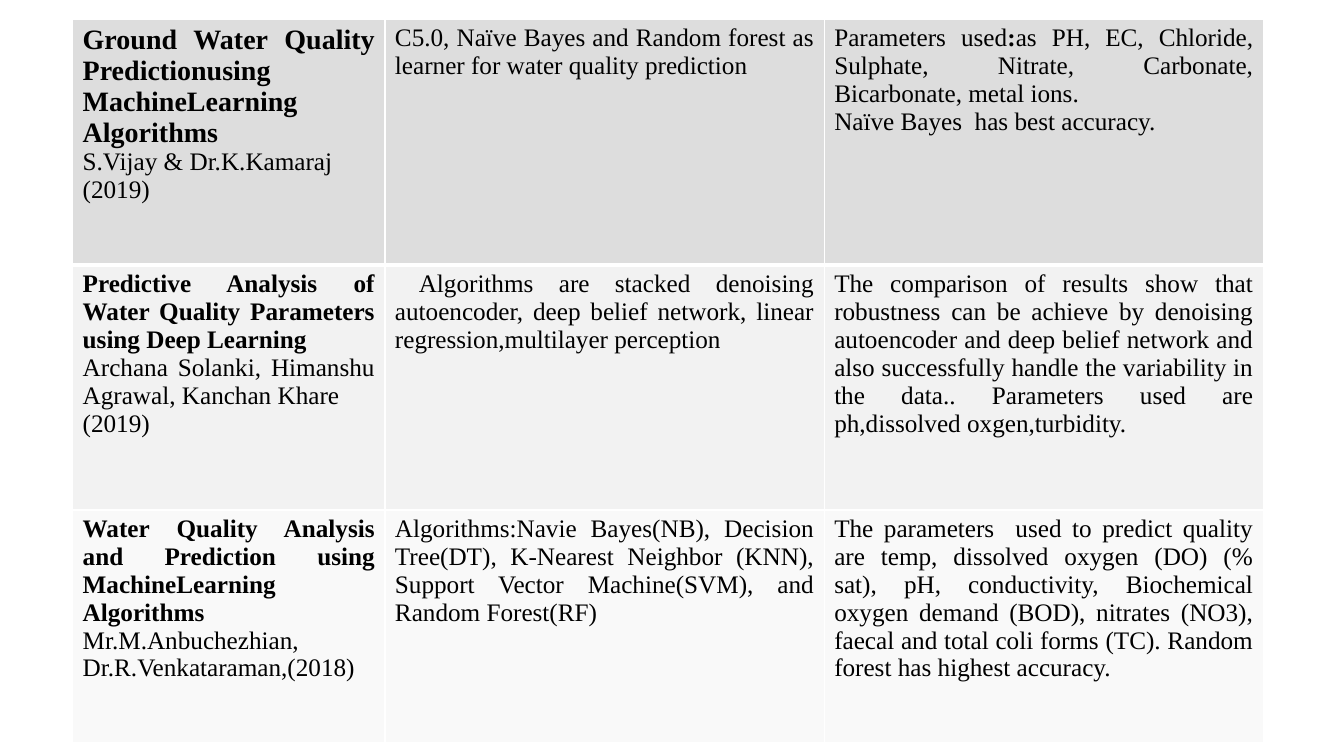
"""Build a slide with a table that compares water quality studies."""
from lxml import etree
from pptx import Presentation
from pptx.dml.color import RGBColor
from pptx.enum.text import PP_ALIGN
from pptx.oxml.ns import qn
from pptx.util import Cm, Pt

JUSTIFY = PP_ALIGN.JUSTIFY
FONT = "Times New Roman"
INK, WHITE = "000000", "FFFFFF"
LEFT, TOP = 1.83, 0.48
WIDTHS = [7.87, 11.07, 11.07]
HEIGHTS = [6.2, 6.17, 5.87]
FILLS = ["DDDDDD", "F2F2F2", "F9F9F9"]

STUDIES = [
    {
        "title": "Ground Water Quality Predictionusing MachineLearning Algorithms",
        "size": 20,
        "authors": ["S.Vijay & Dr.K.Kamaraj", "(2019)"],
        "method": "C5.0, Naïve Bayes and Random forest as learner for water quality prediction",
        "result": [
            [("Parameters used", False), (":", True),
             ("as PH, EC, Chloride, Sulphate, Nitrate, Carbonate, "
              "Bicarbonate, metal ions.", False)],
            [("Naïve Bayes  has best accuracy.", False)],
        ],
    },
    {
        "title": "Predictive Analysis of Water Quality Parameters using Deep Learning",
        "authors": ["Archana Solanki, Himanshu Agrawal, Kanchan Khare", "(2019)"],
        "method": "Algorithms are stacked denoising autoencoder, deep belief network, "
                  "linear regression,multilayer perception",
        "indent": 0.6,
        "result": [[(
            "The comparison of results show that robustness can be achieve by "
            "denoising autoencoder and deep belief network and also successfully "
            "handle the variability in the data.. Parameters used are "
            "ph,dissolved oxgen,turbidity.", False)]],
    },
    {
        "title": "Water Quality Analysis and Prediction using MachineLearning Algorithms",
        "authors": ["Mr.M.Anbuchezhian, Dr.R.Venkataraman,(2018)"],
        "method": "Algorithms:Navie Bayes(NB), Decision Tree(DT), K-Nearest Neighbor "
                  "(KNN), Support Vector Machine(SVM), and Random Forest(RF)",
        "result": [[(
            "The parameters  used to predict quality are temp, dissolved oxygen (DO) "
            "(% sat), pH, conductivity, Biochemical oxygen demand (BOD), nitrates "
            "(NO3), faecal and total coli forms (TC). Random forest has highest "
            "accuracy.", False)]],
    },
]


def paint(target, color):
    target.rgb = RGBColor.from_string(color)


def write(cell, parts, size=18, indent=0):
    frame = cell.text_frame
    para = frame.paragraphs[0]
    if para.runs:
        para = frame.add_paragraph()
    para.alignment = JUSTIFY
    if indent:
        para._p.get_or_add_pPr().set("indent", str(Cm(indent)))
    for text, bold in parts:
        run = para.add_run()
        run.text = text
        run.font.name, run.font.size, run.font.bold = FONT, Pt(size), bold
        paint(run.font.color, INK)


def edge(cell, side, width):
    line = etree.SubElement(cell._tc.get_or_add_tcPr(), qn(f"a:ln{side}"), w=str(Pt(width)))
    fill = etree.SubElement(line, qn("a:solidFill"))
    etree.SubElement(fill, qn("a:srgbClr"), val=WHITE)


def main():
    deck = Presentation()
    deck.slide_width, deck.slide_height = Cm(33.87), Cm(19.05)
    slide = deck.slides.add_slide(deck.slide_layouts[6])
    table = slide.shapes.add_table(
        len(STUDIES), len(WIDTHS), Cm(LEFT), Cm(TOP),
        Cm(sum(WIDTHS)), Cm(sum(HEIGHTS))).table
    table.first_row = table.horz_banding = False
    for col, width in zip(table.columns, WIDTHS):
        col.width = Cm(width)
    for i, study in enumerate(STUDIES):
        row = table.rows[i]
        row.height = Cm(HEIGHTS[i])
        for cell in row.cells:
            edges = {"L": 1, "R": 1, "T": 3 if i == 1 else 1, "B": 3 if i == 0 else 1}
            for side, width in edges.items():
                edge(cell, side, width)
            cell.fill.solid()
            paint(cell.fill.fore_color, FILLS[i])
        paper, method, result = row.cells
        write(paper, [(study["title"], True)], size=study.get("size", 18))
        for name in study["authors"]:
            write(paper, [(name, False)])
        write(method, [(study["method"], False)], indent=study.get("indent", 0))
        for parts in study["result"]:
            write(result, parts)
    deck.save("out.pptx")


if __name__ == "__main__":
    main()
